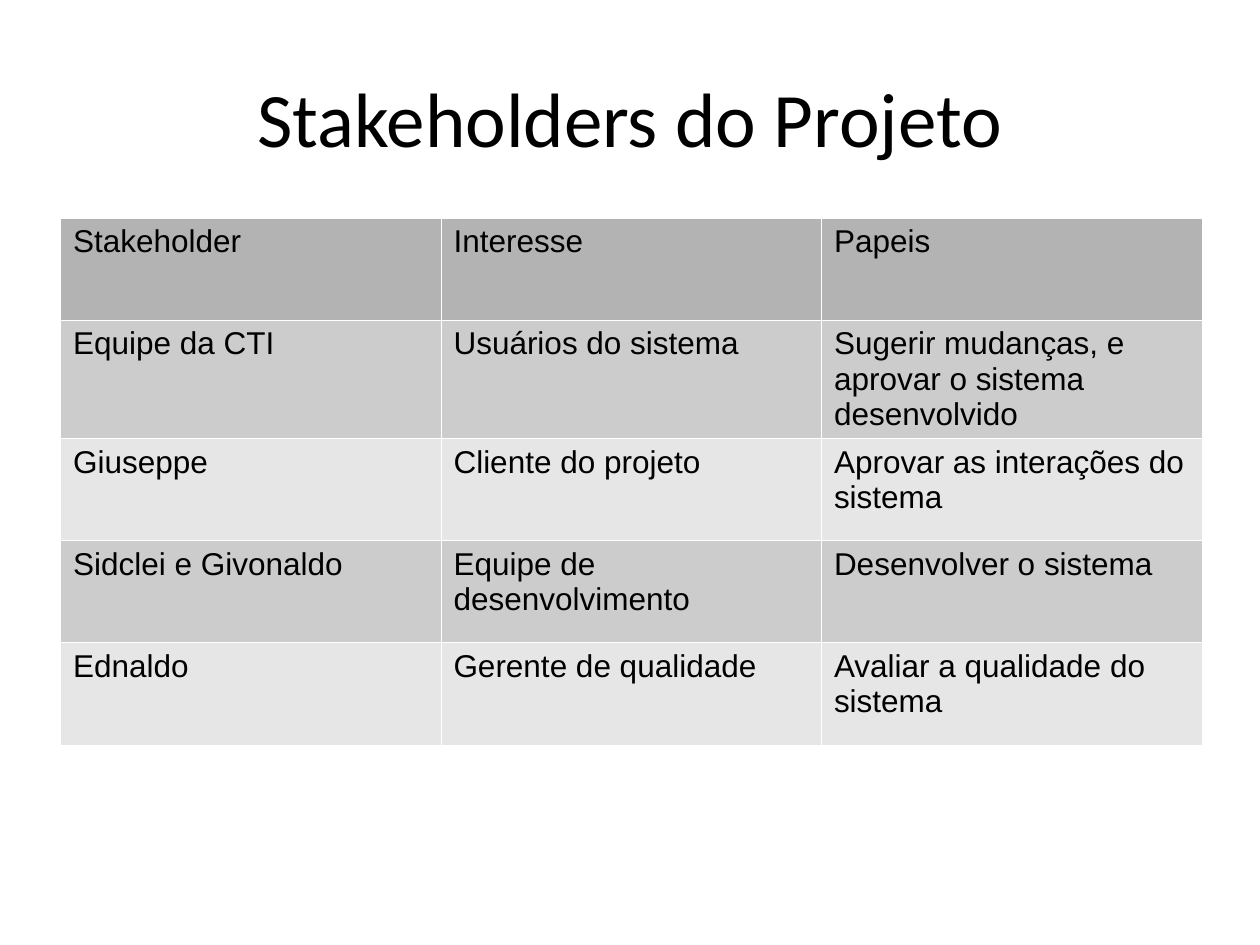
from dataclasses import dataclass

from lxml import etree
from pptx import Presentation
from pptx import util as u
from pptx.dml.color import RGBColor
from pptx.enum import text
from pptx.oxml import ns


@dataclass(frozen=True)
class Theme:
    ink: str = "000000"
    paper: str = "FFFFFF"
    header: str = "B3B3B3"
    bands: tuple = ("CCCCCC", "E6E6E6")
    title_font: str = "Calibri"
    body_font: str = "Arial"
    title_size: float = 44
    body_size: float = 18
    border: float = 0.06


class Deck:
    def __init__(self, theme, width, height):
        self.theme = theme
        self.deck = Presentation()
        self.deck.slide_width, self.deck.slide_height = u.Inches(width), u.Inches(height)
        self.slide = self.deck.slides.add_slide(self.deck.slide_layouts[5])
        self.paint(self.slide.background.fill, theme.paper)

    def paint(self, fill, color):
        fill.solid()
        fill.fore_color.rgb = RGBColor.from_string(color)

    def set_words(self, frame, words, font, size):
        frame.text = words
        paragraph = frame.paragraphs[0]
        paragraph.font.name = font
        paragraph.font.size = u.Pt(size)
        paragraph.font.bold = False
        paragraph.font.color.rgb = RGBColor.from_string(self.theme.ink)
        return paragraph

    def title(self, words, left, top, width, height):
        heading = self.slide.shapes.title
        heading.left, heading.top = u.Inches(left), u.Inches(top)
        heading.width, heading.height = u.Inches(width), u.Inches(height)
        frame = heading.text_frame
        frame.vertical_anchor = text.MSO_ANCHOR.MIDDLE
        line = self.set_words(frame, words, self.theme.title_font, self.theme.title_size)
        line.alignment = text.PP_ALIGN.CENTER

    def outline(self, cell):
        properties = cell._tc.get_or_add_tcPr()
        for side in ("lnL", "lnR", "lnT", "lnB"):
            edge = etree.SubElement(
                properties, ns.qn(f"a:{side}"), w=str(int(u.Pt(self.theme.border)))
            )
            fill = etree.SubElement(edge, ns.qn("a:solidFill"))
            etree.SubElement(fill, ns.qn("a:srgbClr"), val=self.theme.paper)

    def table(self, rows, left, top, column_width, row_height):
        column_count, row_count = len(rows[0]), len(rows)
        grid = self.slide.shapes.add_table(
            row_count, column_count, u.Inches(left), u.Inches(top),
            u.Inches(column_width * column_count), u.Inches(row_height * row_count),
        ).table
        for r, row in enumerate(rows):
            color = self.theme.bands[(r - 1) % 2] if r else self.theme.header
            for c, words in enumerate(row):
                cell = grid.cell(r, c)
                self.outline(cell)
                self.paint(cell.fill, color)
                self.set_words(
                    cell.text_frame, words, self.theme.body_font, self.theme.body_size
                )


stakeholders = [
    ("Stakeholder", "Interesse", "Papeis"),
    ("Equipe da CTI", "Usuários do sistema",
     "Sugerir mudanças, e aprovar o sistema desenvolvido"),
    ("Giuseppe", "Cliente do projeto", "Aprovar as interações do sistema"),
    ("Sidclei e Givonaldo", "Equipe de desenvolvimento", "Desenvolver o sistema"),
    ("Ednaldo", "Gerente de qualidade", "Avaliar a qualidade do sistema"),
]

project = Deck(Theme(), 10, 7.5)
project.title("Stakeholders do Projeto", 0.5, 0.3, 9, 1.25)
project.table(stakeholders, 0.48, 1.73, 3.02, 0.81)
project.deck.save("out.pptx")
